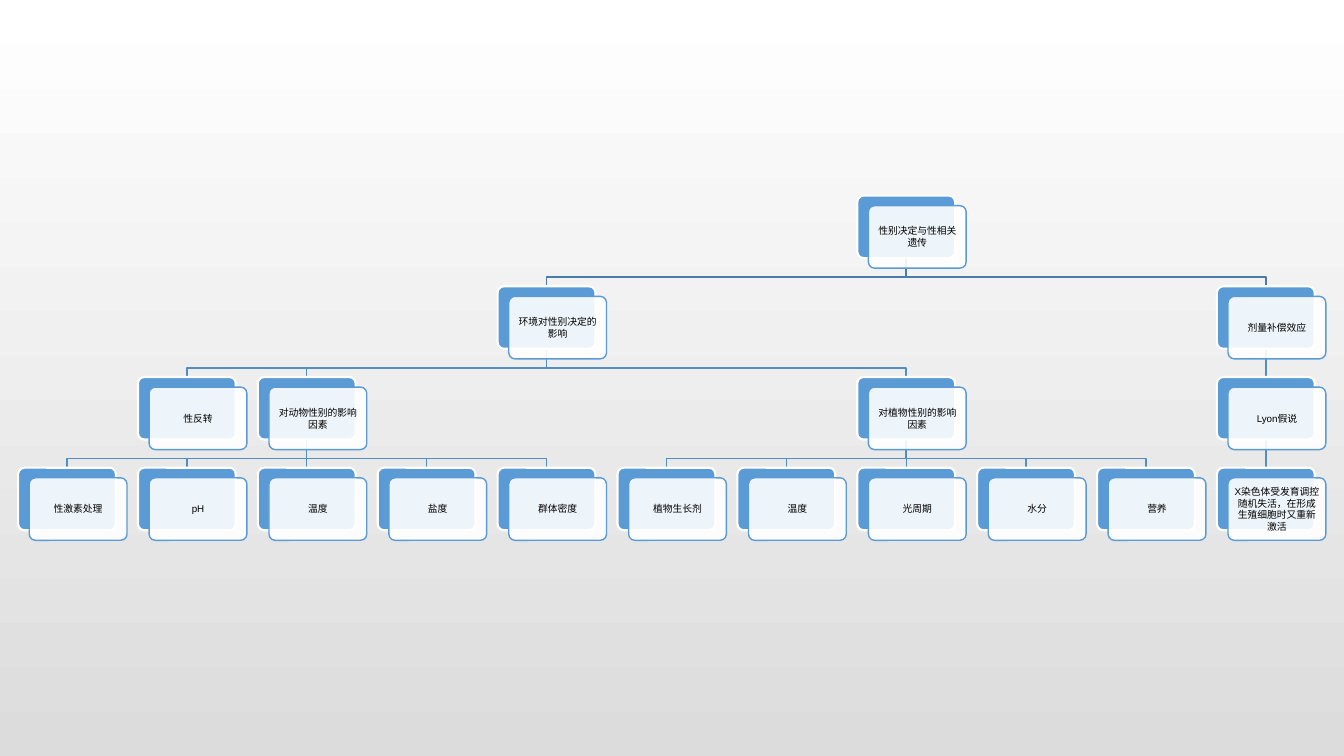
from lxml import etree
from pptx import Presentation
from pptx.dml.color import RGBColor
from pptx.enum.shapes import MSO_CONNECTOR, MSO_SHAPE
from pptx.enum.text import MSO_ANCHOR, PP_ALIGN
from pptx.oxml.ns import qn
from pptx.util import Inches, Pt

STRAIGHT = MSO_CONNECTOR.STRAIGHT
ROUNDED = MSO_SHAPE.ROUNDED_RECTANGLE
MIDDLE = MSO_ANCHOR.MIDDLE
CENTER = PP_ALIGN.CENTER

BLUE = "5B9BD5"
WHITE = "FFFFFF"
ROOT_LINE = "497CAB"
BRANCH_LINE = "538DC1"

CHART_LEFT, CHART_TOP = 0.18, 1.94
COLUMN_STEP, ROW_STEP = 1.189, 0.9
CARD_WIDTH, CARD_HEIGHT = 0.97, 0.62
CARD_OFFSET_X, CARD_OFFSET_Y = 0.11, 0.1
BEND = 0.09


def leaves(first_column, *labels):
    return [(label, first_column + index, []) for index, label in enumerate(labels)]


# Each node is (label, column, children)
TOPIC_TREE = ("性别决定与性相关遗传", 7, [
    ("环境对性别决定的影响", 4, [
        ("性反转", 1, []),
        ("对动物性别的影响因素", 2,
         leaves(0, "性激素处理", "pH", "温度", "盐度", "群体密度")),
        ("对植物性别的影响因素", 7,
         leaves(5, "植物生长剂", "温度", "光周期", "水分", "营养")),
    ]),
    ("剂量补偿效应", 10, [
        ("Lyon假说", 10,
         leaves(10, "X染色体受发育调控随机失活，在形成生殖细胞时又重新激活")),
    ]),
])


def color(hex_value):
    return RGBColor.from_string(hex_value)


def paint_background(slide):
    fill = slide.background.fill
    fill.gradient()
    fill.gradient_angle = 270
    for stop, hex_value, position in zip(fill.gradient_stops, (WHITE, "DCDCDC"), (0, 1)):
        stop.color.rgb = color(hex_value)
        stop.position = position


def card_position(column, row):
    return CHART_LEFT + column * COLUMN_STEP, CHART_TOP + row * ROW_STEP


def add_link(slide, parent_column, child_column, row):
    """Join a parent in the given row to a child in the next row."""
    parent_left, parent_top = card_position(parent_column, row)
    child_left, child_top = card_position(child_column, row + 1)
    start_x, end_x = (Inches(left + CARD_WIDTH / 2) for left in (parent_left, child_left))
    start_y, end_y = Inches(parent_top + CARD_HEIGHT), Inches(child_top)
    bend_y = Inches(child_top - BEND)
    if parent_column == child_column:
        link = slide.shapes.add_connector(STRAIGHT, start_x, start_y, end_x, end_y)
        etree.SubElement(link._element.spPr, qn("a:effectLst"))
    else:
        builder = slide.shapes.build_freeform(start_x, start_y)
        builder.add_line_segments(
            [(start_x, bend_y), (end_x, bend_y), (end_x, end_y)], close=False)
        link = builder.convert_to_shape()
        link.fill.background()
        link.shadow.inherit = False
    link.line.color.rgb = color(BRANCH_LINE if row else ROOT_LINE)
    link.line.width = Pt(1)


def add_plate(slide, left, top, fill_color, line_color, line_width):
    plate = slide.shapes.add_shape(
        ROUNDED, Inches(left), Inches(top), Inches(CARD_WIDTH), Inches(CARD_HEIGHT))
    plate.adjustments[0] = 0.1
    plate.shadow.inherit = False
    plate.fill.solid()
    plate.fill.fore_color.rgb = color(fill_color)
    plate.line.color.rgb = color(line_color)
    plate.line.width = Pt(line_width)
    return plate


def add_card(slide, label, left, top):
    """Place a blue plate with a translucent labelled plate in front."""
    add_plate(slide, left, top, BLUE, WHITE, 1.5)
    front = add_plate(slide, left + CARD_OFFSET_X, top + CARD_OFFSET_Y, WHITE, BLUE, 1)
    front_color = front._element.spPr.find(qn("a:solidFill")).find(qn("a:srgbClr"))
    etree.SubElement(front_color, qn("a:alpha"), val="90000")
    frame = front.text_frame
    frame_format = {"word_wrap": True, "vertical_anchor": MIDDLE}
    for side in ("left", "right", "top", "bottom"):
        frame_format[f"margin_{side}"] = Inches(0.04)
    for name, value in frame_format.items():
        setattr(frame, name, value)
    paragraph = frame.paragraphs[0]
    paragraph.alignment = CENTER
    run = paragraph.add_run()
    run.text = label
    run.font.name = "Arial"
    run.font.size = Pt(7)
    run.font.color.rgb = color("000000")


def add_links(slide, node, row=0):
    _, column, children = node
    for child in children:
        add_link(slide, column, child[1], row)
        add_links(slide, child, row + 1)


def add_cards(slide, node, row=0):
    label, column, children = node
    add_card(slide, label, *card_position(column, row))
    for child in children:
        add_cards(slide, child, row + 1)


def main():
    presentation = Presentation()
    presentation.slide_width = Inches(13.33)
    presentation.slide_height = Inches(7.5)
    slide = presentation.slides.add_slide(presentation.slide_layouts[6])
    paint_background(slide)
    add_links(slide, TOPIC_TREE)
    add_cards(slide, TOPIC_TREE)
    presentation.save("out.pptx")


if __name__ == "__main__":
    main()
